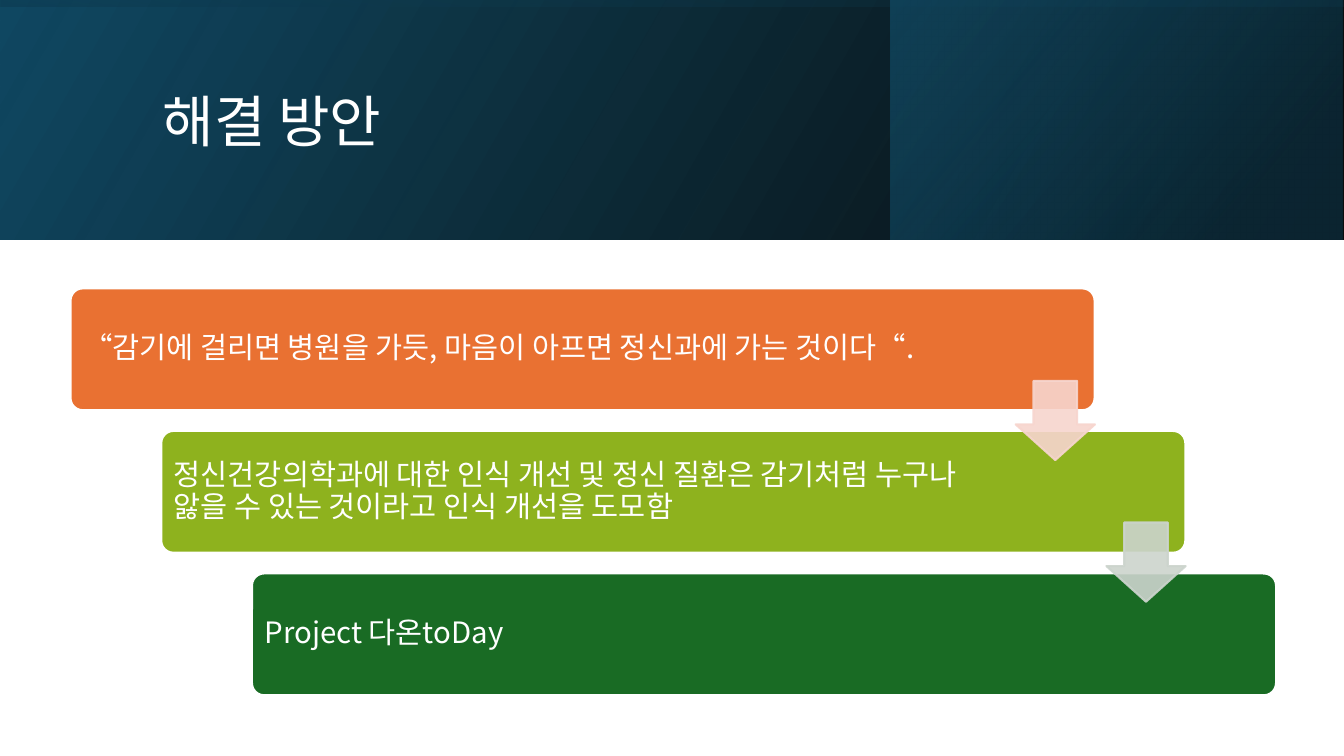
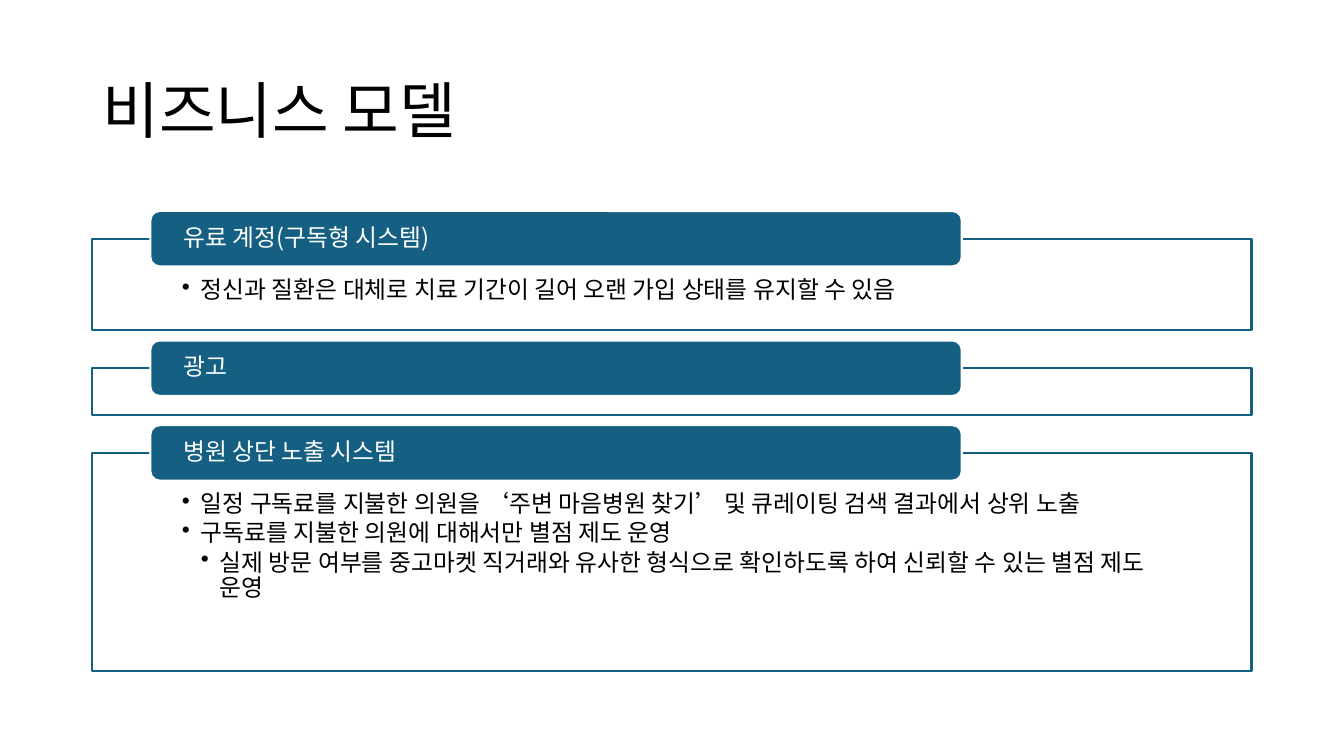
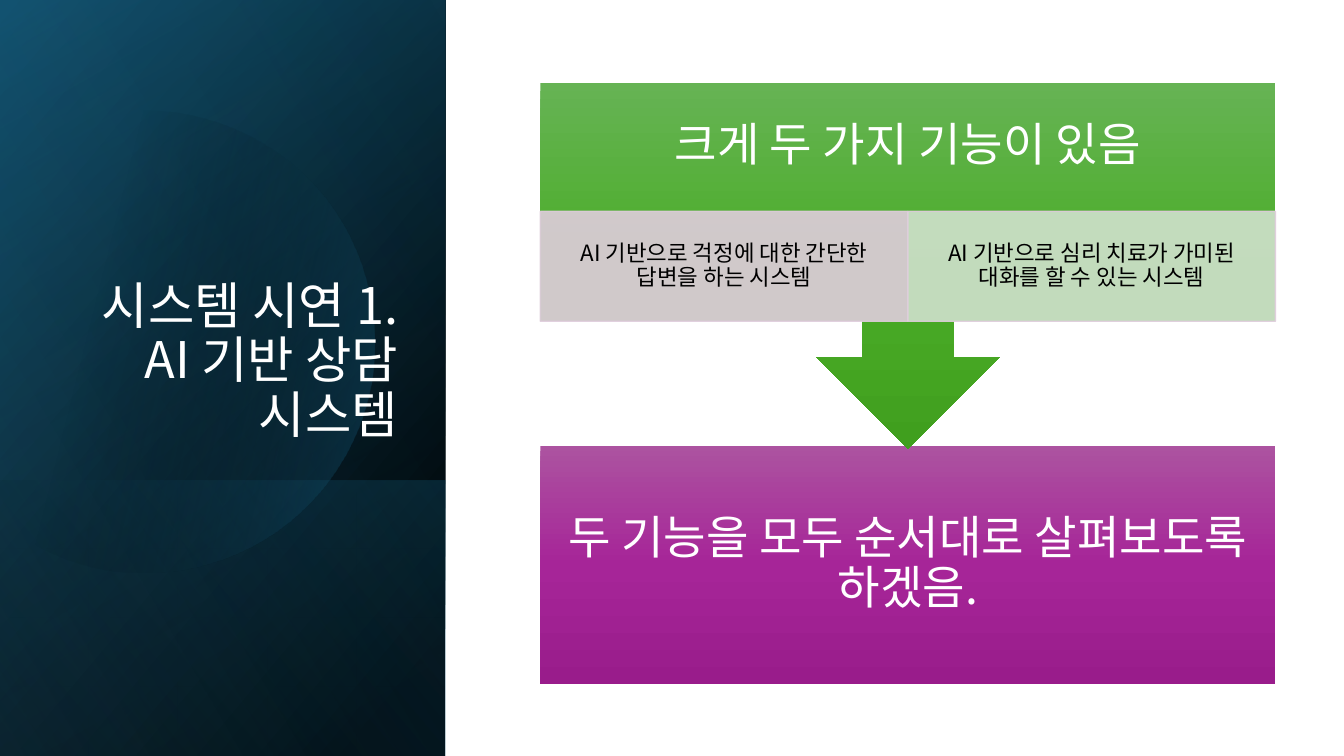
import dataclasses
import pptx
import pptx.dml.color
import pptx.enum.shapes
import pptx.enum.text
import pptx.oxml.ns
import pptx.util
from lxml import etree

Pt = pptx.util.Pt
RGB = pptx.dml.color.RGBColor.from_string
qn = pptx.oxml.ns.qn
Kind = pptx.enum.shapes.MSO_SHAPE
Align = pptx.enum.text.PP_ALIGN
Anchor = pptx.enum.text.MSO_ANCHOR


@dataclasses.dataclass(frozen=True)
class Theme:
    font: str = "Noto Sans CJK KR"
    white: str = "FFFFFF"
    black: str = "000000"
    blue: str = "156082"
    navy: str = "104862"
    deep: str = "0B3041"
    sky: str = "46B1E1"
    steps: tuple = ("E97132", "8EB21E", "196B24")
    arrows: tuple = ("F7D5CE", "CCD4CD")
    green: tuple = ("66B354", "4BAD28", "409F1E")
    purple: tuple = ("AC53A0", "A62598", "991C8B")
    pink: str = "DFCDDC"
    mint: str = "D0E1CD"
    title: int = 44
    head: int = 40
    side: int = 36
    large: int = 33
    step: int = 21
    body: int = 17
    small: int = 16


theme = Theme()


def paint(shape, fill, line=None, width=1.5, alpha=100):
    """Fill with a colour, or with (angle, [(place, colour, alpha), ...])."""
    shape.shadow.inherit = False
    props = shape.element.spPr
    if isinstance(fill, str):
        shape.fill.solid()
        shape.fill.fore_color.rgb = RGB(fill)
    else:
        angle, stops = fill
        shape.fill.gradient()
        grad = props.find(qn("a:gradFill"))
        grad.find(qn("a:lin")).set("ang", str(angle * 60000))
        rows = grad.find(qn("a:gsLst"))
        for old in list(rows):
            rows.remove(old)
        for place, tone, clear in stops:
            stop = etree.SubElement(rows, qn("a:gs"), pos=str(place * 1000))
            tint = etree.SubElement(stop, qn("a:srgbClr"), val=tone)
            etree.SubElement(tint, qn("a:alpha"), val=str(clear * 1000))
    if line:
        shape.line.color.rgb = RGB(line)
        shape.line.width = Pt(width)
    else:
        shape.line.fill.background()
    if alpha < 100:
        for tint in props.iter(qn("a:srgbClr")):
            etree.SubElement(tint, qn("a:alpha"), val=str(alpha * 1000))
    return shape


def write(shape, lines, size, tone, inset=(7.2, 3.6, 7.2, 3.6),
          align=Align.LEFT, anchor=Anchor.MIDDLE):
    """Set lines of (text, level); a level above 0 has a bullet."""
    frame = shape.text_frame
    frame.word_wrap = True
    frame.auto_size = pptx.enum.text.MSO_AUTO_SIZE.NONE
    frame.vertical_anchor = anchor
    (frame.margin_left, frame.margin_top,
     frame.margin_right, frame.margin_bottom) = map(Pt, inset)
    for i, (text, level) in enumerate(lines):
        para = frame.paragraphs[0] if i == 0 else frame.add_paragraph()
        para.text = text
        para.alignment = align
        para.line_spacing = 0.9
        if level:
            para.level = level
            para.space_after = Pt(2.5)
            props = para._p.get_or_add_pPr()
            props.set("marL", str(Pt(13.5 * level)))
            props.set("indent", str(-Pt(13.5)))
            etree.SubElement(props, qn("a:buChar"), char="•")
        para.font.size = Pt(size)
        para.font.color.rgb = RGB(tone)
        para.font.name = theme.font
        face = para._p.pPr.find(qn("a:defRPr"))
        etree.SubElement(face, qn("a:ea"), typeface=theme.font)


deck = pptx.Presentation()
deck.slide_width, deck.slide_height = Pt(960), Pt(540)
plan, model, demo = [deck.slides.add_slide(deck.slide_layouts[5]) for _ in range(3)]

# Gradient bands behind the titles: slide, box, rotation, fill
side = (-111, 111, 540, 318)
bands = [
    (plan, (0, 0, 960, 171), 0,
     (330, [(0, theme.black, 96), (100, theme.navy, 100)])),
    (plan, (636, 0, 323, 171), 0,
     (320, [(19, theme.deep, 68), (100, theme.blue, 48)])),
    (plan, (394.5, -394.5, 171, 960), 270,
     (350, [(23, theme.navy, 16), (99, theme.black, 45)])),
    (demo, side, 90, (50, [(8, theme.black, 100), (100, theme.navy, 100)])),
    (demo, side, 90, (30, [(0, theme.black, 0), (99, theme.blue, 46)])),
    (demo, (60.5, 282.5, 197, 318), 90,
     (130, [(2, theme.blue, 29), (100, theme.black, 30)])),
    (demo, side, 90, (120, [(0, theme.black, 0), (99, theme.sky, 11)])),
]
for slide, box, turn, fill in bands:
    band = paint(slide.shapes.add_shape(Kind.RECTANGLE, *map(Pt, box)), fill)
    band.rotation = turn
    band.element.spPr.xfrm.set("flipH", "1")

# Faint disc, cut off by the left edge of the slide
curves = [
    ((0, 116), (17, 102), (36, 92), (58, 86)),
    ((58, 86), (74, 81), (91, 79), (107, 79)),
    ((107, 79), (177, 81), (241, 127), (261, 198)),
    ((261, 198), (287, 286), (236, 377), (149, 402)),
    ((149, 402), (94, 418), (38, 404), (0, 370)),
]
dots = []
for curve in curves:
    for n in range(1, 25):
        t = n / 24
        parts = ((1 - t) ** 3, 3 * t * (1 - t) ** 2, 3 * t * t * (1 - t), t ** 3)
        dots.append([Pt(sum(w * dot[axis] for w, dot in zip(parts, curve)))
                     for axis in (0, 1)])
disc = demo.shapes.build_freeform(Pt(0), Pt(116))
disc.add_line_segments(dots, close=True)
paint(disc.convert_to_shape(), (14, [(29, theme.black, 0), (100, theme.blue, 43)]))

# Titles, brought in front of the bands
titles = [
    (plan, "해결 방안", (109, 27, 765, 124), theme.head, theme.white,
     Align.LEFT, Anchor.MIDDLE),
    (model, "비즈니스 모델", (66, 29, 828, 104), theme.title, theme.black,
     Align.LEFT, Anchor.MIDDLE),
    (demo, "시스템 시연 1. AI 기반 상담 시스템", (46, 132.5, 245.5, 188.5),
     theme.side, theme.white, Align.RIGHT, Anchor.BOTTOM),
]
for slide, text, box, size, tone, align, anchor in titles:
    title = slide.shapes.title
    title.left, title.top, title.width, title.height = map(Pt, box)
    write(title, [(text, 0)], size, tone, align=align, anchor=anchor)
    slide.shapes.element.append(title.element)

# Slide 1: three steps and the arrows between them
steps = [
    ("“감기에 걸리면 병원을 가듯, 마음이 아프면 정신과에 가는 것이다“.", 96),
    ("정신건강의학과에 대한 인식 개선 및 정신 질환은 감기처럼 누구나 "
     "앓을 수 있는 것이라고 인식 개선을 도모함", 128),
    ("Project 다온toDay", 128),
]
for i, (text, right) in enumerate(steps):
    box = (50.4 + 64.8 * i, 206 + 101.8 * i, 731.5, 87)
    step = plan.shapes.add_shape(Kind.ROUNDED_RECTANGLE, *map(Pt, box))
    step.adjustments[0] = 0.1
    paint(step, theme.steps[i], theme.white)
    write(step, [(text, 0)], theme.step, theme.white, (6.5, 6.5, right, 6.5))
for i, tone in enumerate(theme.arrows):
    box = (725.5 + 64.8 * i, 272 + 101.2 * i, 56.6, 56.6)
    arrow = plan.shapes.add_shape(Kind.DOWN_ARROW, *map(Pt, box))
    arrow.adjustments[0], arrow.adjustments[1] = 0.45, 0.55
    arrow.adjustments[0], arrow.adjustments[1] = 0.55, 0.45
    paint(arrow, tone, tone, alpha=90)

# Slide 2: framed groups, each with a tab on its upper edge
groups = [
    ("유료 계정(구독형 시스템)", 170.5, 65.5,
     [("정신과 질환은 대체로 치료 기간이 길어 오랜 가입 상태를 유지할 수 있음", 1)]),
    ("광고", 263, 33.5, []),
    ("병원 상단 노출 시스템", 323.5, 156, [
        ("일정 구독료를 지불한 의원을 ‘주변 마음병원 찾기’ 및 큐레이팅 검색 결과에서 상위 노출", 1),
        ("구독료를 지불한 의원에 대해서만 별점 제도 운영", 1),
        ("실제 방문 여부를 중고마켓 직거래와 유사한 형식으로 확인하도록 하여 "
         "신뢰할 수 있는 별점 제도 운영", 2)]),
]
for head, top, high, lines in groups:
    box = (66, top, 828, high)
    frame = paint(model.shapes.add_shape(Kind.RECTANGLE, *map(Pt, box)),
                  theme.white, theme.blue)
    write(frame, lines, theme.body, theme.black, (64, 28, 64, 9), anchor=Anchor.TOP)
    box = (107.4, top - 19.8, 579.6, 39.6)
    tab = paint(model.shapes.add_shape(Kind.ROUNDED_RECTANGLE, *map(Pt, box)),
                theme.blue, theme.white)
    write(tab, [(head, 0)], theme.body, theme.white, (21.6, 0, 21.6, 0))

# Slide 3: two features lead to the walk-through
left, wide = 386, 525
blocks = [
    (Kind.RECTANGLE, 318.5, 170, theme.purple, "두 기능을 모두 순서대로 살펴보도록 하겠음.", 19),
    (Kind.DOWN_ARROW_CALLOUT, 59, 261.5, theme.green, "크게 두 가지 기능이 있음", 97),
]
for kind, top, high, tones, text, low in blocks:
    block = demo.shapes.add_shape(kind, *map(Pt, (left, top, wide, high)))
    paint(block, (90, [(50 * i, tone, 100) for i, tone in enumerate(tones)]))
    write(block, [(text, 0)], theme.large, theme.white, (19, 19, 19, low), Align.CENTER)
parts = [
    ("AI 기반으로 걱정에 대한 간단한 답변을 하는 시스템", theme.pink),
    ("AI 기반으로 심리 치료가 가미된 대화를 할 수 있는 시스템", theme.mint),
]
for i, (text, tone) in enumerate(parts):
    box = (left + i * wide / 2, 151, wide / 2, 78.5)
    part = paint(demo.shapes.add_shape(Kind.RECTANGLE, *map(Pt, box)),
                 tone, theme.pink, 1, 90)
    write(part, [(text, 0)], theme.small, theme.black, (8.6, 1.4, 8.6, 1.4), Align.CENTER)

deck.save("out.pptx")
